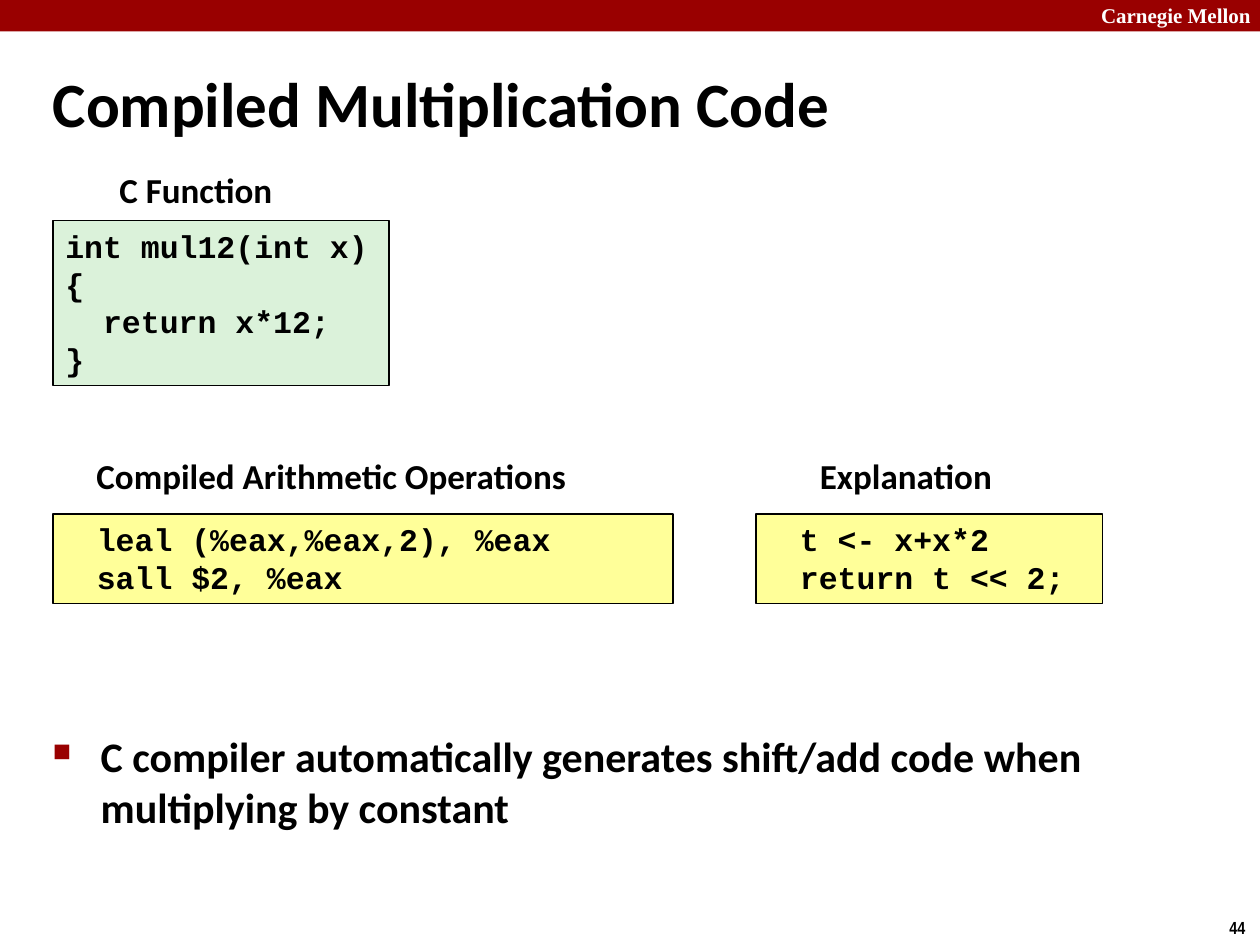
from lxml import etree
from pptx import Presentation
from pptx import util as u
from pptx.dml.color import RGBColor
from pptx.enum import shapes, text
from pptx.oxml.ns import qn

look = {
    "red": RGBColor.from_string("990000"),
    "white": RGBColor.from_string("FFFFFF"),
    "black": RGBColor.from_string("000000"),
    "green": RGBColor.from_string("DBF2DA"),
    "yellow": RGBColor.from_string("FFFF99"),
    "title": ("Calibri", 36),
    "body": ("Calibri", 24),
    "label": ("Calibri", 20),
    "code": ("Courier New", 18),
    "school": ("Times New Roman", 12),
    "page": ("Arial Narrow", 10),
}

deck = Presentation()
deck.slide_width, deck.slide_height = u.Inches(10), u.Inches(7.5)
slide = deck.slides.add_slide(deck.slide_layouts[6])


def block(box, fill, edge=None):
    shape = slide.shapes.add_shape(shapes.MSO_SHAPE.RECTANGLE, *map(u.Inches, box))
    shape.shadow.inherit = False
    shape.fill.solid()
    shape.fill.fore_color.rgb = look[fill]
    if edge:
        shape.line.color.rgb = look[edge]
        shape.line.width = u.Pt(1)
    else:
        shape.line.fill.background()
    return shape


def write(shape, lines, style, color="black", wrap=True, grow=True):
    frame = shape.text_frame
    frame.word_wrap = wrap
    frame.vertical_anchor = text.MSO_ANCHOR.TOP
    size = text.MSO_AUTO_SIZE
    frame.auto_size = size.SHAPE_TO_FIT_TEXT if grow else size.NONE
    name, points = look[style]
    for i, line in enumerate(lines):
        para = frame.add_paragraph() if i else frame.paragraphs[0]
        para.alignment = text.PP_ALIGN.LEFT
        run = para.add_run()
        run.text = line
        run.font.name = name
        run.font.size = u.Pt(points)
        run.font.bold = True
        run.font.color.rgb = look[color]
    return frame


block((0, 0, 10, 0.25), "red")

plain = [
    ((8.64, -0.03, 1.43, 0.3), "Carnegie Mellon", "school", "white", True),
    ((9.66, 7.23, 0.34, 0.27), "44", "page", "black", False),
]
for box, line, style, color, wrap in plain:
    area = slide.shapes.add_textbox(*map(u.Inches, box))
    write(area, [line], style, color, wrap)

area = slide.shapes.add_textbox(*map(u.Inches, (0.32, 0.5, 7.84, 0.63)))
title = write(area, ["Compiled Multiplication Code"], "title", grow=False)
title.vertical_anchor = text.MSO_ANCHOR.MIDDLE

area = slide.shapes.add_textbox(*map(u.Inches, (0.32, 5.75, 9.09, 1.3)))
note = "C compiler automatically generates shift/add code when multiplying by constant"
body = write(area, [note], "body", grow=False)
props = body.paragraphs[0]._p.get_or_add_pPr()
props.set("marL", str(u.Inches(0.38)))
props.set("indent", str(u.Inches(-0.38)))
tint = etree.SubElement(props, qn("a:buClr"))
etree.SubElement(tint, qn("a:srgbClr")).set("val", str(look["red"]))
etree.SubElement(props, qn("a:buSzPct")).set("val", "60000")
etree.SubElement(props, qn("a:buChar")).set("char", "■")

codes = [
    ((0.42, 1.75, 2.67, 1.31), "green",
     ["int mul12(int x)", "{", "  return x*12;", "}"]),
    ((0.42, 4.08, 4.92, 0.71), "yellow",
     ["\tleal\t(%eax,%eax,2), %eax", "\tsall\t$2, %eax"]),
    ((6, 4.08, 2.75, 0.71), "yellow",
     ["\tt <- x+x*2", "\treturn t << 2;"]),
]
for box, fill, lines in codes:
    frame = write(block(box, fill, "black"), lines, "code")
    for para in frame.paragraphs:
        if "\t" in para.text:
            props = para._p.get_or_add_pPr()
            stops = etree.SubElement(props, qn("a:tabLst"))
            stop = etree.SubElement(stops, qn("a:tab"))
            stop.set("pos", str(u.Inches(0.25)))
            stop.set("algn", "l")

labels = [
    ((0.89, 1.29, 1.33, 0.44), "C Function"),
    ((0.7, 3.56, 3.86, 0.44), "Compiled Arithmetic Operations"),
    ((6.45, 3.56, 1.48, 0.44), "Explanation"),
]
for box, line in labels:
    area = slide.shapes.add_textbox(*map(u.Inches, box))
    frame = write(area, [line], "label", wrap=False)
    frame.paragraphs[0].alignment = text.PP_ALIGN.CENTER
    frame.margin_left = frame.margin_right = u.Inches(0.05)
    frame.margin_top = frame.margin_bottom = u.Inches(0.05)

deck.save("out.pptx")
